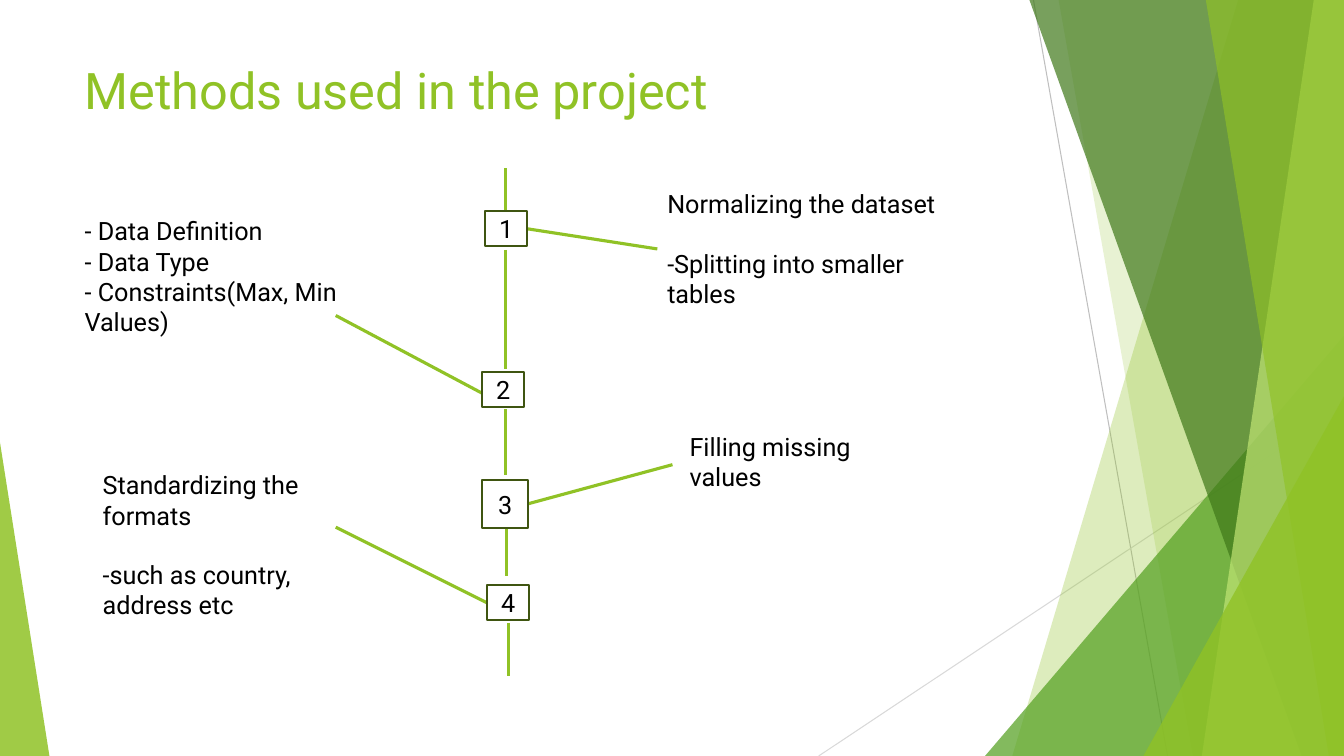
from dataclasses import dataclass

from lxml.etree import SubElement
from pptx import Presentation
from pptx.dml.color import RGBColor
from pptx.enum.shapes import MSO_CONNECTOR, MSO_SHAPE
from pptx.enum.text import MSO_ANCHOR, PP_ALIGN
from pptx.oxml.ns import qn
from pptx.shapes.autoshape import Shape
from pptx.slide import Slide
from pptx.text.text import TextFrame
from pptx.util import Inches, Pt

WHITE = RGBColor(0xFF, 0xFF, 0xFF)
BLACK = RGBColor(0, 0, 0)
LIME = RGBColor(0x90, 0xC2, 0x26)
PALE_LIME = RGBColor(0xC0, 0xE4, 0x74)
GREEN = RGBColor(0x54, 0xA0, 0x21)
DARK_GREEN = RGBColor(0x3F, 0x78, 0x19)
OLIVE = RGBColor(0x3F, 0x55, 0x11)
GREY = RGBColor(0xBF, 0xBF, 0xBF)
LIGHT_GREY = RGBColor(0xD9, 0xD9, 0xD9)
FONT = "Roboto"
WIDTH, HEIGHT = 13.33, 7.5
BODY_SIZE = 18
BLANK_LINE = 21


@dataclass
class Facet:
    """A full-height band reaching the right edge, with a slanted left side."""
    top_x: float
    bottom_x: float
    color: RGBColor
    opacity: int


@dataclass
class Corner:
    """A right triangle standing on the bottom edge."""
    left: float
    top: float
    width: float
    apex: float
    color: RGBColor
    opacity: int


@dataclass
class Step:
    """A numbered box on the timeline."""
    left: float
    top: float
    width: float = 0.42
    height: float = 0.35


@dataclass
class Note:
    """Text beside a step; the detail lines may stand apart from the heading."""
    left: float
    top: float
    width: float
    height: float
    lines: tuple[str, ...]
    gap: int = 0


@dataclass
class Line:
    """A straight line between two points."""
    x1: float
    y1: float
    x2: float
    y2: float
    color: RGBColor = LIME
    weight: float = 2.25


BACKDROP_LINES = [
    Line(10.25, 0, 11.58, HEIGHT, GREY, 0.75),
    Line(WIDTH, 4.03, 8.12, HEIGHT, LIGHT_GREY, 0.75),
]
BACKDROP = [
    Facet(12.28, 10.04, LIME, 30),
    Facet(10.5, 11.83, LIME, 20),
    Corner(9.77, 3.33, 3.56, 1, GREEN, 72),
    Facet(10.21, 12.91, DARK_GREEN, 70),
    Facet(13.03, 11.92, PALE_LIME, 70),
    Facet(11.96, 13.18, LIME, 65),
    Corner(11.34, 3.93, 1.99, 1, LIME, 80),
    Corner(0, 4.39, 0.49, 0, LIME, 85),
]
SPINE = [
    Line(5.01, 1.67, 5.01, 2.08),
    Line(5.01, 2.48, 5.01, 3.66),
    Line(5.01, 4.06, 5.01, 4.71),
    Line(5.02, 5.23, 5.02, 5.71),
    Line(5.04, 6.18, 5.04, 6.71),
]
LEADERS = [
    Line(5.23, 2.27, 6.52, 2.47),
    Line(4.78, 3.9, 3.33, 3.13),
    Line(5.23, 5, 6.67, 4.61),
    Line(4.83, 5.98, 3.33, 5.23),
]
STEPS = [Step(4.81, 2.09), Step(4.78, 3.69), Step(4.78, 4.76, 0.46, 0.48), Step(4.83, 5.8)]
NOTES = [
    Note(6.52, 1.82, 3.26, 1.31,
         ("Normalizing the dataset", "-Splitting into smaller tables"), BLANK_LINE),
    Note(0.74, 2.09, 2.99, 1.31,
         ("- Data Definition", "- Data Type", "- Constraints(Max, Min Values)")),
    Note(6.74, 4.23, 2.21, 0.71, ("Filling missing values",)),
    Note(0.92, 4.61, 2.41, 1.62,
         ("Standardizing the formats", "-such as country, address etc"), BLANK_LINE),
]


def write(frame: TextFrame, lines: tuple[str, ...], size: int = BODY_SIZE,
          color: RGBColor = BLACK, gap: int = 0,
          align: PP_ALIGN = PP_ALIGN.LEFT) -> None:
    """Fill a text frame with one paragraph per line."""
    frame.word_wrap = True
    for index, line in enumerate(lines):
        paragraph = frame.add_paragraph() if index else frame.paragraphs[0]
        paragraph.alignment = align
        if index:
            paragraph.space_before = Pt(gap)
        run = paragraph.add_run()
        run.text = line
        run.font.name, run.font.size = FONT, Pt(size)
        run.font.color.rgb = color


def paint(shape: Shape, color: RGBColor, opacity: int = 100) -> None:
    """Give a shape a flat fill without outline or shadow."""
    shape.shadow.inherit = False
    shape.fill.solid()
    shape.fill.fore_color.rgb = color
    shape.line.fill.background()
    if opacity < 100:
        color_node = shape._element.spPr.find(qn("a:solidFill"))[0]
        SubElement(color_node, qn("a:alpha"), val=str(opacity * 1000))


def draw_line(slide: Slide, line: Line) -> None:
    """Draw a line without shadow."""
    connector = slide.shapes.add_connector(
        MSO_CONNECTOR.STRAIGHT, Inches(line.x1), Inches(line.y1),
        Inches(line.x2), Inches(line.y2))
    connector.line.color.rgb = line.color
    connector.line.width = Pt(line.weight)
    SubElement(connector._element.spPr, qn("a:effectLst"))


def draw_backdrop(slide: Slide, piece: Facet | Corner) -> None:
    """Draw one translucent piece of the backdrop."""
    if isinstance(piece, Facet):
        builder = slide.shapes.build_freeform(
            Inches(piece.top_x), Inches(0))
        builder.add_line_segments([
            (Inches(WIDTH), Inches(0)), (Inches(WIDTH), Inches(HEIGHT)),
            (Inches(piece.bottom_x), Inches(HEIGHT))], close=True)
        shape = builder.convert_to_shape()
    else:
        shape = slide.shapes.add_shape(
            MSO_SHAPE.ISOSCELES_TRIANGLE, Inches(piece.left), Inches(piece.top),
            Inches(piece.width), Inches(HEIGHT - piece.top))
        shape.adjustments[0] = piece.apex
    paint(shape, piece.color, piece.opacity)


def draw_step(slide: Slide, number: int, step: Step) -> None:
    """Draw a numbered step box."""
    box = slide.shapes.add_shape(
        MSO_SHAPE.RECTANGLE, Inches(step.left), Inches(step.top),
        Inches(step.width), Inches(step.height))
    paint(box, WHITE)
    box.line.color.rgb = OLIVE
    box.line.width = Pt(1.5)
    box.text_frame.vertical_anchor = MSO_ANCHOR.MIDDLE
    write(box.text_frame, (str(number),), align=PP_ALIGN.CENTER)


def add_text(slide: Slide, note: Note, size: int = BODY_SIZE,
             color: RGBColor = BLACK, anchor: MSO_ANCHOR = MSO_ANCHOR.TOP) -> None:
    """Add a text box for a note or the title."""
    frame = slide.shapes.add_textbox(
        Inches(note.left), Inches(note.top),
        Inches(note.width), Inches(note.height)).text_frame
    frame.vertical_anchor = anchor
    write(frame, note.lines, size, color, note.gap)


presentation = Presentation()
presentation.slide_width, presentation.slide_height = Inches(WIDTH), Inches(HEIGHT)
methods = presentation.slides.add_slide(presentation.slide_layouts[6])
for hairline in BACKDROP_LINES:
    draw_line(methods, hairline)
for backdrop_piece in BACKDROP:
    draw_backdrop(methods, backdrop_piece)
add_text(methods, Note(0.74, 0.5, 9.4, 0.78, ("Methods used in the project",)),
         36, LIME, MSO_ANCHOR.MIDDLE)
for stretch in SPINE + LEADERS:
    draw_line(methods, stretch)
for step_number, method_step in enumerate(STEPS, 1):
    draw_step(methods, step_number, method_step)
for method_note in NOTES:
    add_text(methods, method_note)
presentation.save("out.pptx")
